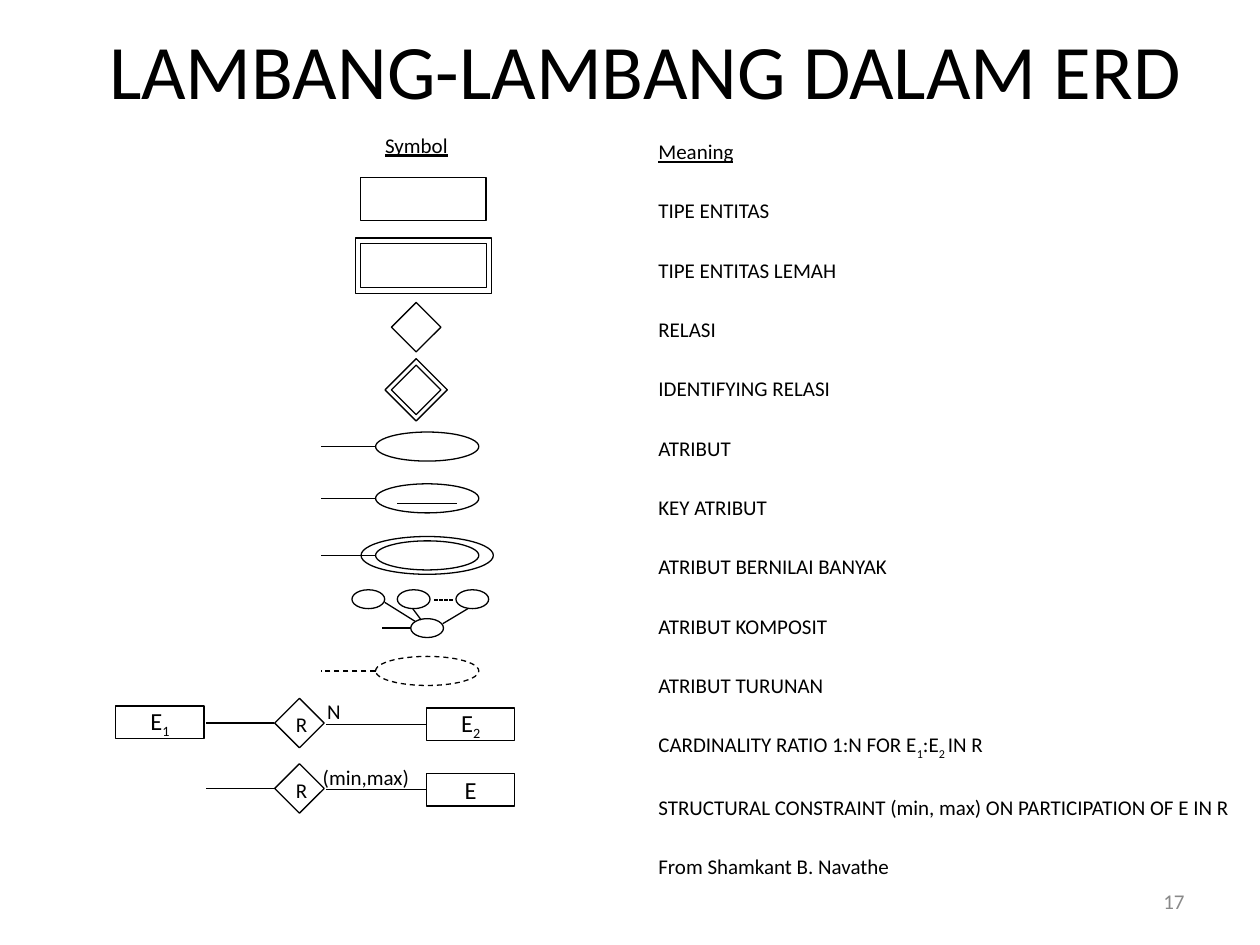
from pptx import Presentation
from pptx.dml.color import RGBColor
from pptx.enum.dml import MSO_LINE
from pptx.enum.shapes import MSO_CONNECTOR, MSO_SHAPE
from pptx.enum.text import MSO_ANCHOR, MSO_AUTO_SIZE, PP_ALIGN
from pptx.oxml.ns import qn
from pptx.util import Pt
from lxml import etree

BLACK = RGBColor(0x00, 0x00, 0x00)
GRAY = RGBColor(0x89, 0x89, 0x89)
FONT = "Calibri"
RECTANGLE, OVAL = MSO_SHAPE.RECTANGLE, MSO_SHAPE.OVAL
STRAIGHT = MSO_CONNECTOR.STRAIGHT
DASH, DOT = MSO_LINE.DASH, MSO_LINE.SQUARE_DOT
LEFT, CENTER, RIGHT = PP_ALIGN.LEFT, PP_ALIGN.CENTER, PP_ALIGN.RIGHT
TOP, MIDDLE = MSO_ANCHOR.TOP, MSO_ANCHOR.MIDDLE
FIXED = MSO_AUTO_SIZE.NONE
LEFT_SITE = 1

MEANINGS = [
    ["Meaning"], ["TIPE ENTITAS"], ["TIPE ENTITAS LEMAH"], ["RELASI"],
    ["IDENTIFYING RELASI"], ["ATRIBUT"], ["KEY ATRIBUT"],
    ["ATRIBUT BERNILAI BANYAK"], ["ATRIBUT KOMPOSIT"], ["ATRIBUT TURUNAN"],
    ["CARDINALITY RATIO 1:N FOR E", "1", ":E", "2 ", "IN R"],
    ["STRUCTURAL CONSTRAINT (min, max) ON PARTICIPATION OF E IN R"],
    ["From Shamkant B. Navathe"],
]


def points(*lengths):
    return [Pt(round(length, 2)) for length in lengths]


def write(paragraph, pieces, size, align=LEFT, color=BLACK):
    paragraph.alignment = align
    paragraph.font.name, paragraph.font.size = FONT, Pt(size)
    paragraph.font.color.rgb = color
    for index, piece in enumerate(pieces):
        run = paragraph.add_run()
        run.text = piece
        if index % 2:
            run._r.get_or_add_rPr().set("baseline", "-25000")


def add_label(shapes, box, text, size=12, align=LEFT, color=BLACK, anchor=TOP, padding=3.6):
    label = shapes.add_textbox(*points(*box))
    frame = label.text_frame
    frame.word_wrap, frame.vertical_anchor = False, anchor
    frame.margin_top = frame.margin_bottom = Pt(padding)
    write(frame.paragraphs[0], [text], size, align, color)
    return label


def add_outline(shapes, kind, center_x, center_y, width, height, dash=None):
    shape = shapes.add_shape(
        kind, *points(center_x - width / 2, center_y - height / 2, width, height))
    shape.shadow.inherit = False
    shape.fill.background()
    shape.line.color.rgb, shape.line.width = BLACK, Pt(0.75)
    if dash:
        shape.line.dash_style = dash
    return shape


def add_line(shapes, start_x, start_y, end_x, end_y, dash=None):
    line = shapes.add_connector(STRAIGHT, *points(start_x, start_y, end_x, end_y))
    line.line.color.rgb, line.line.width = BLACK, Pt(0.75)
    if dash:
        line.line.dash_style = dash
    etree.SubElement(line._element.spPr, qn("a:effectLst"))
    return line


def add_diamond(shapes, center_x, center_y, side=20):
    add_outline(shapes, RECTANGLE, center_x, center_y, side, side).rotation = 45


def add_entity(shapes, center_x, center_y, pieces):
    entity = add_outline(shapes, RECTANGLE, center_x, center_y, 50.4, 18.7)
    frame = entity.text_frame
    frame.word_wrap, frame.vertical_anchor = False, MIDDLE
    write(frame.paragraphs[0], pieces, 14, CENTER)
    return entity


def add_attribute(slide, left, center_y, dash=None, key=False, multiple=False):
    shapes = slide.shapes.add_group_shape().shapes
    oval_left, width = left + 31, 59
    center_x = oval_left + width / 2
    add_outline(shapes, OVAL, center_x, center_y, width, 16.6, dash)
    add_line(shapes, oval_left, center_y, left, center_y, dash)
    if key:
        add_line(shapes, center_x - 17, center_y + 3, center_x + 17, center_y + 3)
    if multiple:
        add_outline(shapes, OVAL, center_x, center_y, 75.6, 21.6)


def add_composite(slide, left, top):
    shapes = slide.shapes.add_group_shape().shapes
    for x, y in [(9.4, 5.4), (35.3, 5.4), (68.8, 5.4), (43, 21.9)]:
        add_outline(shapes, OVAL, left + x, top + y, 18.7, 10.8)
    for start_x, start_y, end_x, end_y, dash in [
            (33.7, 21.9, 17.3, 21.9, None), (18.7, 7.2, 36, 18, None),
            (34.6, 10.6, 39.6, 17.3, None), (51.9, 19.4, 66.3, 10.8, None),
            (46.8, 5.8, 58.3, 5.8, DOT)]:
        add_line(shapes, left + start_x, top + start_y, left + end_x, top + end_y, dash)


def add_relation(slide, left, center_y, label, label_left, entity_pieces):
    shapes = slide.shapes
    add_line(shapes, left, center_y, left + 39, center_y)
    add_diamond(shapes, left + 53.3, center_y)
    add_label(shapes, (left + 43.8, center_y - 10, 21.6, 21.6), "R", align=CENTER)
    entity = add_entity(shapes, left + 151.2, center_y + 0.7, entity_pieces)
    line = add_line(shapes, left + 68.5, center_y + 0.7, left + 126, center_y + 0.7)
    line.end_connect(entity, LEFT_SITE)
    add_label(shapes, (label_left, center_y - 17.3, 70, 21.6), label)


def add_symbols(slide, left, top):
    center_x = left + 175.8
    heading = add_label(slide.shapes, (left + 146.8, top, 56, 14.4), "Symbol", padding=0)
    heading.text_frame.paragraphs[0].font.underline = True

    add_outline(slide.shapes, RECTANGLE, center_x, top + 38.2, 71.6, 24.6)
    weak_entity = slide.shapes.add_group_shape().shapes
    for width, height in [(72, 25.2), (78, 31.6)]:
        add_outline(weak_entity, RECTANGLE, center_x, top + 76.2, width, height)

    diamond_x = left + 171.6
    add_diamond(slide.shapes, diamond_x, top + 111.4)
    identifying = slide.shapes.add_group_shape().shapes
    for side in (20, 25.2):
        add_diamond(identifying, diamond_x, top + 147.2, side)

    attribute_left = left + 117.4
    add_attribute(slide, attribute_left, top + 179.6)
    add_attribute(slide, attribute_left, top + 209.2, key=True)
    add_attribute(slide, attribute_left, top + 241.8, multiple=True)
    add_composite(slide, left + 134.9, top + 261.4)
    add_attribute(slide, attribute_left, top + 307.8, dash=DASH)

    add_entity(slide.shapes, left + 25.2, top + 337.2, ["E", "1"])
    add_relation(slide, left + 51.6, top + 337.6, "N", left + 113.6, ["E", "2"])
    add_relation(slide, left + 51.6, top + 375, "(min,max)", left + 111.1, ["E"])


def place(placeholder, box):
    placeholder.left, placeholder.top, placeholder.width, placeholder.height = points(*box)
    placeholder.text_frame.auto_size = FIXED
    return placeholder.text_frame


def fill_title(slide, box):
    frame = place(slide.shapes.title, box)
    frame.vertical_anchor = MIDDLE
    write(frame.paragraphs[0], ["LAMBANG-LAMBANG DALAM ERD"], 44, CENTER)


def fill_meanings(slide, box):
    frame = place(slide.placeholders[1], box)
    for index, pieces in enumerate(MEANINGS):
        paragraph = frame.add_paragraph() if index else frame.paragraphs[0]
        write(paragraph, pieces, 12)
        paragraph.space_before, paragraph.space_after = Pt(9), Pt(10.5)
        properties = paragraph._p.get_or_add_pPr()
        properties.set("marL", "0")
        properties.set("indent", "0")
        bullet = etree.Element(qn("a:buNone"))
        properties.find(qn("a:spcAft")).addnext(bullet)
    frame.paragraphs[0].font.underline = True


def main():
    presentation = Presentation()
    presentation.slide_width, presentation.slide_height = Pt(720), Pt(540)
    slide = presentation.slides.add_slide(presentation.slide_layouts[1])
    fill_title(slide, (48, 0, 642, 78))
    fill_meanings(slide, (369, 75.6, 348, 445))
    add_symbols(slide, 66.2, 75.6)
    add_label(slide.shapes, (516, 500.4, 168, 28.8), "17",
              align=RIGHT, color=GRAY, anchor=MIDDLE)
    presentation.save("out.pptx")


if __name__ == "__main__":
    main()
